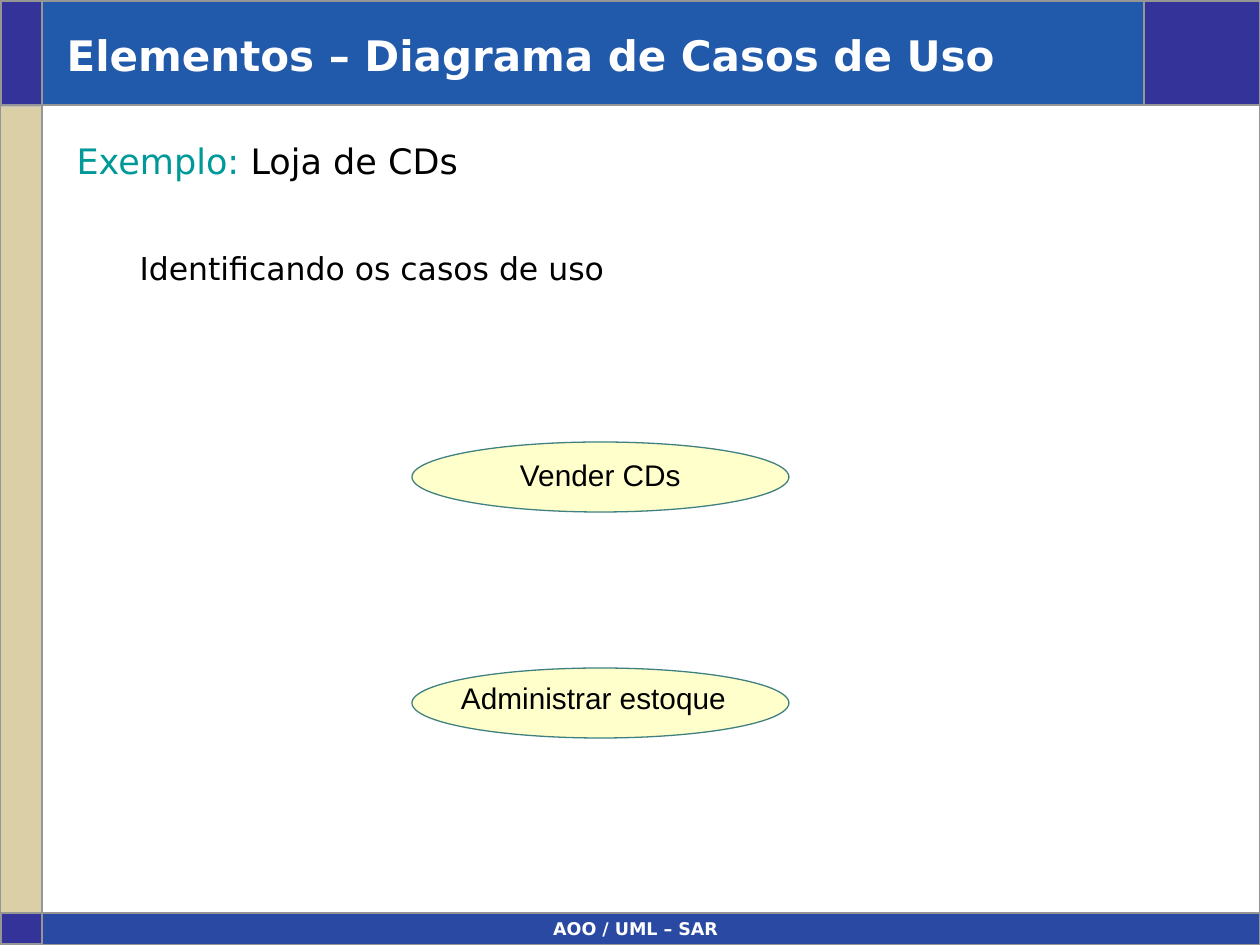
from lxml.etree import SubElement
from pptx import Presentation
from pptx.dml.color import RGBColor
from pptx.enum.shapes import MSO_CONNECTOR, MSO_SHAPE
from pptx.enum.text import MSO_ANCHOR, MSO_AUTO_SIZE, PP_ALIGN
from pptx.oxml.ns import qn
from pptx.util import Pt

PX = 914400 / 126


def px(*lengths):
    """Turn pixel lengths into EMU."""
    return [round(n * PX) for n in lengths]


def rgb(color):
    return RGBColor.from_string(color)


prs = Presentation()
prs.slide_width, prs.slide_height = px(1260, 945)
s = prs.slides.add_slide(prs.slide_layouts[1])
shapes = s.shapes
title, body = shapes.title, s.placeholders[1]

# Frame: coloured bands, then grey rules
bands = [
    ((1, 1, 41, 104), "333399", "969696"),
    ((42, 0, 1218, 104), "2159AB", None),
    ((0, 106, 42, 809), "DACFA6", "C0C0C0"),
    ((1144, 0, 116, 104), "333399", None),
    ((42, 913, 1218, 32), "2949A3", None),
    ((1, 913, 41, 31), "333399", "969696"),
    ((0, 1, 1260, 944), None, "969696"),
]
use_cases = [
    ((412, 668, 377, 70), "FFFFCC", "408080"),
    ((412, 442, 377, 70), "FFFFCC", "408080"),
]
for box, fill, line in bands + use_cases:
    kind = MSO_SHAPE.OVAL if fill == "FFFFCC" else MSO_SHAPE.RECTANGLE
    sp = shapes.add_shape(kind, *px(*box))
    sp.shadow.inherit = False
    if fill:
        sp.fill.solid()
        sp.fill.fore_color.rgb = rgb(fill)
    else:
        sp.fill.background()
    if line:
        sp.line.color.rgb = rgb(line)
        sp.line.width = Pt(0 if kind == MSO_SHAPE.OVAL else 0.75 if fill else 1)
    else:
        sp.line.fill.background()

for ends in [(1144, 0, 1144, 104), (0, 105, 1260, 105),
             (42, 0, 42, 945), (0, 913, 1260, 913)]:
    rule = shapes.add_connector(MSO_CONNECTOR.STRAIGHT, *px(*ends))
    rule.line.color.rgb = rgb("969696")
    rule.line.width = Pt(1)
    SubElement(rule._element.spPr, qn("a:effectLst"))

# Placeholders go in front of the bands
for ph, box in [(title, (54, 16, 1081, 78)), (body, (64, 125, 1144, 736))]:
    ph.left, ph.top, ph.width, ph.height = px(*box)
    ph.text_frame.auto_size = MSO_AUTO_SIZE.NONE
    shapes._spTree.append(ph._element)

title.text_frame.vertical_anchor = MSO_ANCHOR.MIDDLE
body.text_frame.vertical_anchor = MSO_ANCHOR.TOP
title_p = title.text_frame.paragraphs[0]
title_p.alignment = PP_ALIGN.LEFT
example_p = body.text_frame.paragraphs[0]
step_p = body.text_frame.add_paragraph()
step_p.level = 1
for p, margin, indent, before in [(example_p, 48, -48, 0), (step_p, 102, -39, 34)]:
    pPr = p._p.get_or_add_pPr()
    for name, value in zip(("marL", "indent"), px(margin, indent)):
        pPr.set(name, str(value))
    SubElement(pPr, qn("a:buNone"))
    p.line_spacing = 1.2
    p.space_before = Pt(before)

# Free text: footer and use case names
labels = []
for box, inset, wrap, align in [
    ((231, 912, 809, 32), (13, 6), True, PP_ALIGN.CENTER),
    ((461, 680, 266, 35), (0, 0), False, PP_ALIGN.LEFT),
    ((520, 457, 163, 35), (0, 0), False, PP_ALIGN.LEFT),
]:
    tf = shapes.add_textbox(*px(*box)).text_frame
    tf.word_wrap = wrap
    tf.margin_left = tf.margin_right = px(inset[0])[0]
    tf.margin_top = tf.margin_bottom = px(inset[1])[0]
    p = tf.paragraphs[0]
    p.alignment = align
    labels.append(p)
footer_p, stock_p, sell_p = labels

heading = {"name": "DejaVu Sans", "bold": True}
plain = {"name": "DejaVu Sans", "bold": False}
use_case = {"name": "Arial", "size": Pt(17)}
for p, text, color, font in [
    (title_p, "Elementos – Diagrama de Casos de Uso", "FFFFFF", heading | {"size": Pt(24)}),
    (example_p, "Exemplo:", "009999", plain | {"size": Pt(20)}),
    (example_p, " Loja de CDs", "000000", plain | {"size": Pt(20)}),
    (step_p, "Identificando os casos de uso", "000000", plain | {"size": Pt(18)}),
    (footer_p, "AOO / UML – SAR", "FFFFFF", heading | {"size": Pt(10)}),
    (stock_p, "Administrar estoque", "000000", use_case),
    (sell_p, "Vender CDs", "000000", use_case),
]:
    r = p.add_run()
    r.text = text
    r.font.color.rgb = rgb(color)
    for name, value in font.items():
        setattr(r.font, name, value)

prs.save("out.pptx")
